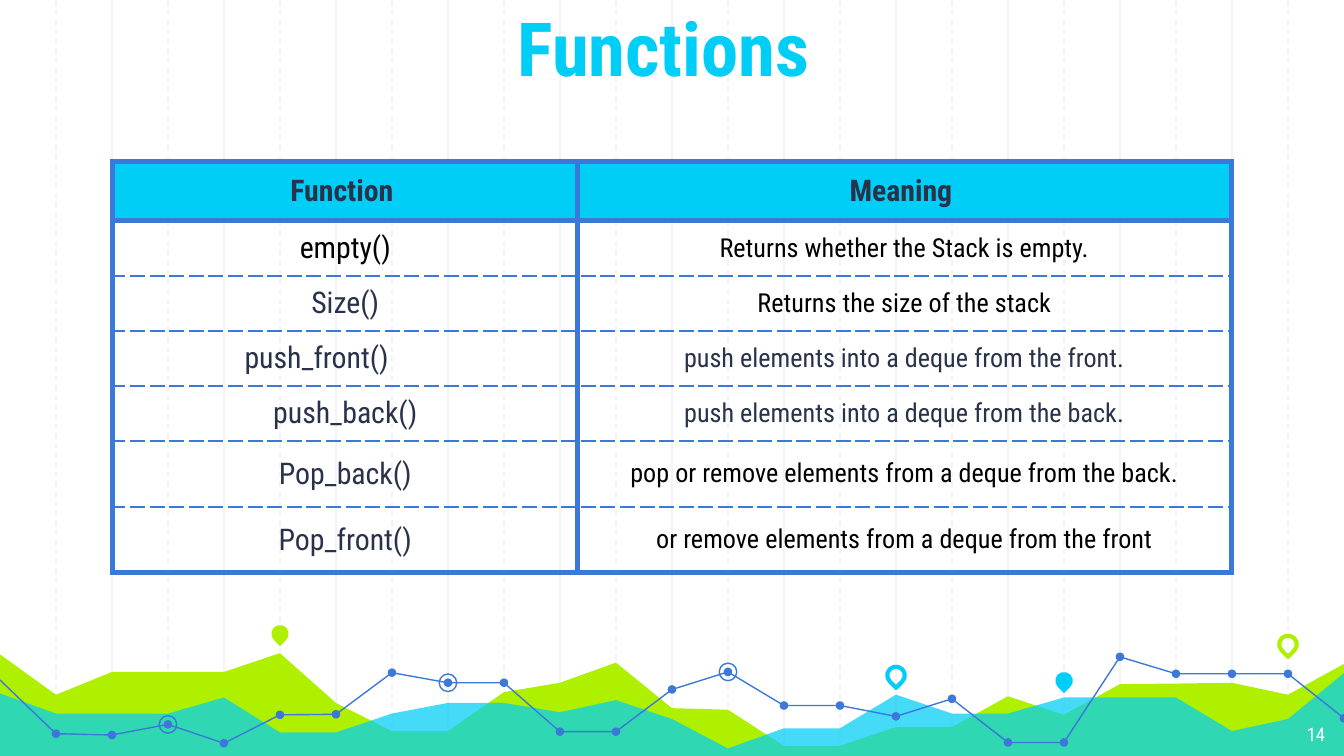
from dataclasses import dataclass

from lxml import etree
from pptx import Presentation
from pptx import util as u
from pptx.dml.color import RGBColor
from pptx.enum import dml, shapes, text
from pptx.oxml import ns


@dataclass(frozen=True)
class Theme:
    font: str = "Roboto Condensed"
    cyan: str = "00CEF6"
    lime: str = "AFF000"
    blue: str = "3C78D8"
    navy: str = "28324A"
    black: str = "000000"
    white: str = "FFFFFF"
    grid: str = "F3F3F3"
    title: int = 40
    name: int = 16
    meaning: int = 14
    number: int = 10
    thin: float = 0.75
    pin: float = 2.25
    thick: float = 3


class Deck:
    """Draws styled elements, measured in points, on the current slide."""

    def __init__(self, theme, width, height):
        self.theme = theme
        self.file = Presentation()
        self.file.slide_width, self.file.slide_height = u.Pt(width), u.Pt(height)
        self.slide = self.file.slides.add_slide(self.file.slide_layouts[5])

    def paint(self, shape, fill=None, line=None, width=0.75, alpha=None):
        shape.shadow.inherit = False
        if fill:
            shape.fill.solid()
            shape.fill.fore_color.rgb = RGBColor.from_string(fill)
            if alpha:
                color = shape.element.spPr.find(".//" + ns.qn("a:srgbClr"))
                etree.SubElement(color, ns.qn("a:alpha"), val=str(alpha * 1000))
        else:
            shape.fill.background()
        if line:
            shape.line.color.rgb = RGBColor.from_string(line)
            shape.line.width = u.Pt(width)
        else:
            shape.line.fill.background()

    def gridline(self, x, bottom, dashed):
        line = self.slide.shapes.add_connector(
            shapes.MSO_CONNECTOR.STRAIGHT, u.Pt(x), 0, u.Pt(x), u.Pt(bottom))
        line.line.color.rgb = RGBColor.from_string(self.theme.grid)
        line.line.width = u.Pt(self.theme.thin)
        if dashed:
            line.line.dash_style = dml.MSO_LINE.DASH
        etree.SubElement(line.element.spPr, ns.qn("a:effectLst"))

    def outline(self, points, close, **look):
        start, *rest = [(u.Pt(x), u.Pt(y)) for x, y in points]
        builder = self.slide.shapes.build_freeform(*start)
        builder.add_line_segments(rest, close=close)
        self.paint(builder.convert_to_shape(), **look)

    def marker(self, kind, x, y, size, rotation=0, **look):
        mark = self.slide.shapes.add_shape(
            kind, u.Pt(x - size / 2), u.Pt(y - size / 2), u.Pt(size), u.Pt(size))
        mark.rotation = rotation
        self.paint(mark, **look)

    def add_words(self, frame, words, size, color, align, bold=False):
        line = frame.paragraphs[0]
        line.alignment = align
        run = line.add_run()
        run.text = words
        run.font.name, run.font.size, run.font.bold = self.theme.font, u.Pt(size), bold
        run.font.color.rgb = RGBColor.from_string(color)

    def inset(self, frame, anchor):
        frame.word_wrap = True
        frame.auto_size = text.MSO_AUTO_SIZE.NONE
        frame.vertical_anchor = anchor
        frame.margin_left = frame.margin_right = u.Pt(7.2)
        frame.margin_top = frame.margin_bottom = u.Pt(7.2)

    def title(self, words, width, height):
        heading = self.slide.shapes.title
        heading.left, heading.top = 0, 0
        heading.width, heading.height = u.Pt(width), u.Pt(height)
        self.inset(heading.text_frame, text.MSO_ANCHOR.BOTTOM)
        self.add_words(heading.text_frame, words, self.theme.title, self.theme.cyan,
                       text.PP_ALIGN.CENTER, True)
        self.slide.shapes.element.append(heading.element)

    def number(self, words, *box):
        label = self.slide.shapes.add_textbox(*map(u.Pt, box))
        self.inset(label.text_frame, text.MSO_ANCHOR.TOP)
        self.add_words(label.text_frame, words, self.theme.number, self.theme.white,
                       text.PP_ALIGN.RIGHT)

    def border(self, cell, side, thick):
        width = self.theme.thick if thick else self.theme.thin
        edge = etree.SubElement(cell._tc.get_or_add_tcPr(), ns.qn("a:ln" + side),
                                w=str(u.Pt(width)))
        fill = etree.SubElement(edge, ns.qn("a:solidFill"))
        etree.SubElement(fill, ns.qn("a:srgbClr"), val=self.theme.blue)
        etree.SubElement(edge, ns.qn("a:prstDash"), val="solid" if thick else "dash")

    def table(self, left, top, widths, heights, rows):
        grid = self.slide.shapes.add_table(
            len(rows), len(widths), u.Pt(left), u.Pt(top),
            u.Pt(sum(widths)), u.Pt(sum(heights))).table
        grid.first_row = grid.horz_banding = False
        for column, width in zip(grid.columns, widths):
            column.width = u.Pt(width)
        for r, (height, row) in enumerate(zip(heights, rows)):
            grid.rows[r].height = u.Pt(height)
            for c, (words, size, color) in enumerate(row):
                cell = grid.cell(r, c)
                cell.vertical_anchor = text.MSO_ANCHOR.MIDDLE
                cell.margin_left = cell.margin_right = u.Pt(7.2)
                cell.margin_top = cell.margin_bottom = u.Pt(5)
                self.add_words(cell.text_frame, words, size, color,
                               text.PP_ALIGN.CENTER, r == 0)
                for side, thick in (("L", True), ("R", True), ("T", r < 2),
                                    ("B", r in (0, len(rows) - 1))):
                    self.border(cell, side, thick)
                if r == 0:
                    cell.fill.solid()
                    cell.fill.fore_color.rgb = RGBColor.from_string(self.theme.cyan)
                else:
                    cell.fill.background()


def main():
    theme = Theme()
    width, height, step = 720, 405, 30
    floor = 406.5
    deck = Deck(theme, width, height)

    for dashed in (False, True):
        for x in range(step if dashed else 2 * step, width, 2 * step):
            deck.gridline(x, floor, dashed)

    lime_hills = [350.6, 372.2, 360, 360, 360, 349.9, 376.6, 391.7, 391.7, 370.8,
                  365.8, 355, 379.4, 380.2, 399.6, 399.6, 389.5, 389.5, 373, 383,
                  366.5, 366.2, 365.8, 372.2, 355.7]
    cyan_hills = [371.5, 382.3, 382.3, 382.3, 373.7, 392.4, 392.4, 382.3, 376.6,
                  376.6, 381.6, 375.1, 385.2, 401, 390.2, 390.2, 372.2, 382.3,
                  382.3, 373.7, 373.7, 373.7, 391.7, 385.2, 360.7]
    trend = [364.3, 393.1, 393.8, 388.1, 398.2, 383, 382.7, 360.4, 365.8, 365.8,
             392, 392, 369.4, 360, 378, 378, 383.8, 374.4, 397.8, 397.8, 351.9,
             361, 361, 361, 384.8]

    def across(heights):
        return [(i * step, y) for i, y in enumerate(heights)]

    ground = [(width, floor), (0, floor)]
    deck.outline(across(lime_hills) + ground, True, fill=theme.lime)
    deck.outline(across(cyan_hills) + ground, True, fill=theme.cyan, alpha=73)
    deck.outline(across(trend), False, line=theme.blue, width=theme.thin)

    kinds = shapes.MSO_SHAPE
    for x, y in across(trend)[1:]:
        deck.marker(kinds.OVAL, x, y, 4.6, fill=theme.blue)
    for i in (3, 8, 13):
        deck.marker(kinds.OVAL, i * step, trend[i], 9.4, line=theme.blue, width=theme.thin)
    for i, y, color, solid in ((5, 339.5, theme.lime, True), (16, 361.8, theme.cyan, False),
                               (19, 364.7, theme.cyan, True), (23, 345.2, theme.lime, False)):
        look = {"fill": color} if solid else {"line": color, "width": theme.pin}
        deck.marker(kinds.TEAR, i * step, y, 9.4, 135, **look)

    deck.number("14", 674, 380, 43, 25)
    deck.title("Functions ", width, 56)

    functions = [
        ("empty()", theme.black, "Returns whether the Stack is empty.", theme.black),
        ("Size()", theme.navy, "Returns the size of the stack", theme.black),
        ("push_front()\t", theme.navy, "push elements into a deque from the front.", theme.navy),
        ("push_back()", theme.navy, "push elements into a deque from the back.", theme.navy),
        ("Pop_back()", theme.navy, "pop or remove elements from a deque from the back.",
         theme.black),
        ("Pop_front()", theme.navy, "or remove elements from a deque from the front",
         theme.black),
    ]
    header = [(words, theme.name, theme.navy) for words in ("Function ", "Meaning ")]
    rows = [header] + [[(name, theme.name, ink), (meaning, theme.meaning, shade)]
                       for name, ink, meaning, shade in functions]
    deck.table(60.5, 86.4, [249, 350], [32] + [29.5] * 4 + [35.3] * 2, rows)
    deck.file.save("out.pptx")


if __name__ == "__main__":
    main()
